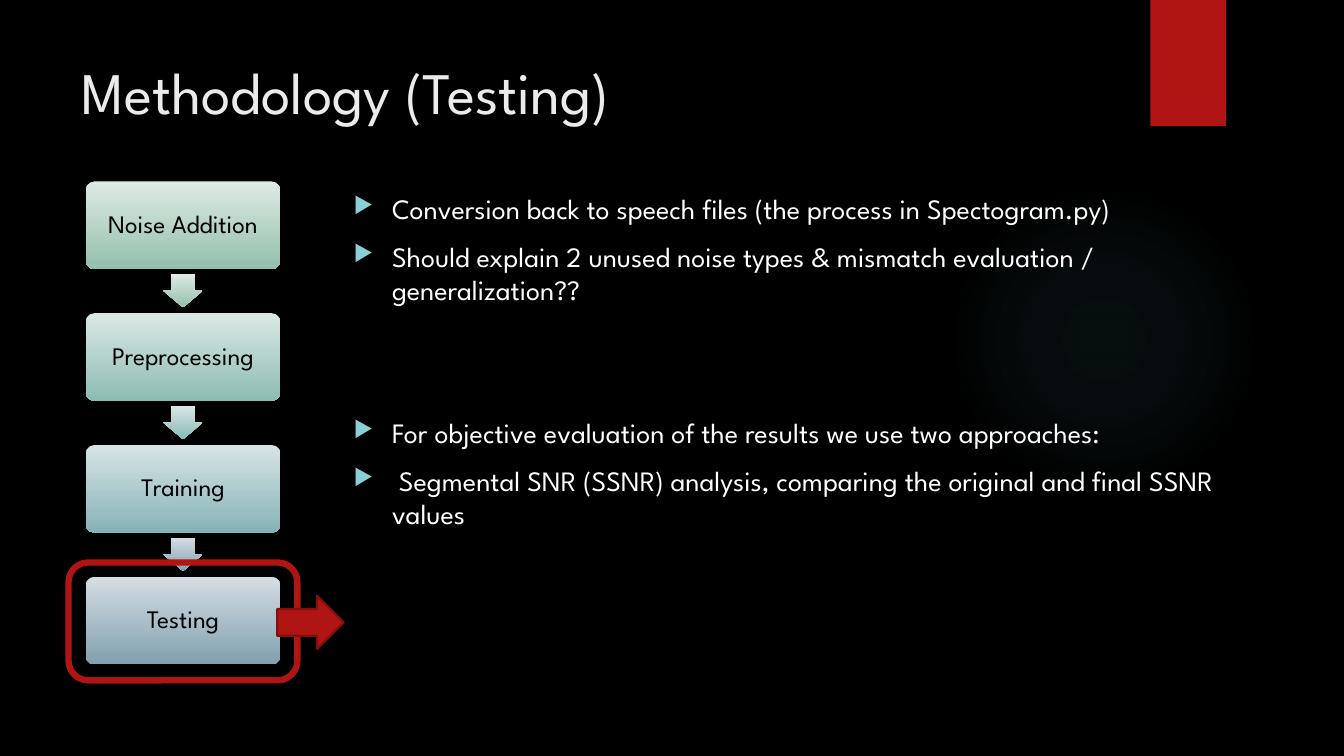
from dataclasses import dataclass

from lxml.etree import fromstring
from pptx import Presentation
from pptx.dml.color import RGBColor
from pptx.enum.shapes import MSO_SHAPE
from pptx.enum.text import MSO_ANCHOR, PP_ALIGN
from pptx.oxml.ns import nsdecls, qn
from pptx.util import Inches, Pt

WIDTH, HEIGHT = Inches(13.33), Inches(7.5)
FONT = "League Spartan"
COLORS = {
    "background": "000000", "title": "EBEBEB", "body": "FFFFFF", "step": "000000",
    "accent": "B01513", "accent edge": "82100E", "bullet": "8AD0D6", "glow": "50B9C1",
}


@dataclass(frozen=True)
class Place:
    """A rectangle in percent of the slide's width and height."""
    left: float
    top: float
    width: float
    height: float

    def lengths(self) -> tuple[int, int, int, int]:
        """Return left, top, width and height as slide lengths."""
        return (int(WIDTH * self.left / 100), int(HEIGHT * self.top / 100),
                int(WIDTH * self.width / 100), int(HEIGHT * self.height / 100))


@dataclass(frozen=True)
class Step:
    """A flow step with its gradient and that of the arrow below it."""
    label: str
    shades: tuple[str, str]
    arrow_shades: tuple[str, str] | None = None


@dataclass(frozen=True)
class Bullet:
    """A bulleted line and the space above it in points."""
    text: str
    space: int = 10


STEP_PLACE = Place(6.38, 24, 14.48, 11.6)
STEP_PITCH = 17.43
ARROW_WIDTH, ARROW_HEIGHT, ARROW_OFFSET = 2.93, 4.4, 12.27
STEPS = [
    Step("Noise Addition", ("DEEAE4", "93C0AC"), ("DEEAE4", "93C0AC")),
    Step("Preprocessing", ("DAE8E5", "8CBCB3"), ("D9E6E5", "88BAB7")),
    Step("Training", ("D7E4E5", "86B3B7"), ("D5DDE2", "81A0B0")),
    Step("Testing", ("D5DDE2", "81A0B0")),
]
BULLETS = [
    Bullet("Conversion back to speech files (the process in Spectogram.py)"),
    Bullet("Should explain 2 unused noise types & mismatch evaluation / generalization??"),
    Bullet("For objective evaluation of the results we use two approaches:", 78),
    Bullet("\u00a0Segmental SNR (SSNR) analysis, comparing the original and final SSNR values"),
]
STEP_FRAME = {
    "word_wrap": True, "vertical_anchor": MSO_ANCHOR.MIDDLE,
    "margin_left": Inches(0.1), "margin_right": Inches(0.1),
    "margin_top": Inches(0.1), "margin_bottom": Inches(0.1),
}


def apply(target, formats: dict) -> None:
    """Set every format value on the target."""
    for name, value in formats.items():
        setattr(target, name, value)


def color(name: str) -> RGBColor:
    """Look up a named colour."""
    return RGBColor.from_string(COLORS[name])


def write(paragraph, text: str, size: int, color_name: str) -> None:
    """Add one styled span to a paragraph."""
    span = paragraph.add_run()
    span.text = text
    apply(span.font, {"name": FONT, "size": Pt(size)})
    span.font.color.rgb = color(color_name)


def add_shape(page, kind: MSO_SHAPE, place: Place, fill: str | None = None,
              edge: str | None = None, edge_width: float = 0,
              shades: tuple[str, str] | None = None, adjust: tuple[float, ...] = ()):
    """Draw a preset shape with a plain, vertical gradient or empty fill."""
    shape = page.shapes.add_shape(kind, *place.lengths())
    shape.shadow.inherit = False
    for index, value in enumerate(adjust):
        shape.adjustments[index] = value
    if shades:
        shape.fill.gradient()
        shape.fill.gradient_angle = 270
        for stop, shade in zip(shape.fill.gradient_stops, shades):
            stop.color.rgb = RGBColor.from_string(shade)
    elif fill:
        shape.fill.solid()
        shape.fill.fore_color.rgb = color(fill)
    else:
        shape.fill.background()
    if edge:
        shape.line.color.rgb = color(edge)
        shape.line.width = Pt(edge_width)
    else:
        shape.line.fill.background()
    return shape


def add_glow(page, place: Place) -> None:
    """Draw a faint circle that fades out from its centre."""
    glow = add_shape(page, MSO_SHAPE.OVAL, place)
    stops = "".join(
        f'<a:gs pos="{position * 1000}"><a:srgbClr val="{COLORS["glow"]}">'
        f'<a:alpha val="{alpha * 1000}"/></a:srgbClr></a:gs>'
        for position, alpha in ((0, 7), (36, 6), (69, 0)))
    gradient = fromstring(
        f'<a:gradFill {nsdecls("a")}><a:gsLst>{stops}</a:gsLst><a:path path="circle">'
        '<a:fillToRect l="50000" t="50000" r="50000" b="50000"/></a:path></a:gradFill>')
    properties = glow.element.spPr
    properties.replace(properties.find(qn("a:noFill")), gradient)


def add_text(page, place: Place):
    """Add a wrapping text box and return its text frame."""
    frame = page.shapes.add_textbox(*place.lengths()).text_frame
    frame.word_wrap = True
    return frame


def add_bullets(page, place: Place, bullets: list[Bullet]) -> None:
    """Write the bulleted lines into one text box."""
    frame = add_text(page, place)
    for index, bullet in enumerate(bullets):
        paragraph = frame.add_paragraph() if index else frame.paragraphs[0]
        paragraph.space_before = Pt(bullet.space)
        write(paragraph, bullet.text, 20, "body")
        properties = paragraph._p.get_or_add_pPr()
        indent = Inches(0.38)
        properties.set("marL", str(indent))
        properties.set("indent", str(-indent))
        for mark in (f'<a:buClr {nsdecls("a")}><a:srgbClr val="{COLORS["bullet"]}"/></a:buClr>',
                     f'<a:buSzPct {nsdecls("a")} val="80000"/>',
                     f'<a:buChar {nsdecls("a")} char="\u25b6"/>'):
            properties.append(fromstring(mark))


def add_step(page, step: Step, row: int) -> None:
    """Draw a flow step and the arrow that leads to the next one."""
    top = STEP_PLACE.top + row * STEP_PITCH
    place = Place(STEP_PLACE.left, top, STEP_PLACE.width, STEP_PLACE.height)
    box = add_shape(page, MSO_SHAPE.ROUNDED_RECTANGLE, place,
                    shades=step.shades, adjust=(0.1,))
    apply(box.text_frame, STEP_FRAME)
    paragraph = box.text_frame.paragraphs[0]
    apply(paragraph, {"alignment": PP_ALIGN.CENTER, "line_spacing": 0.9})
    write(paragraph, step.label, 18, "step")
    if step.arrow_shades:
        left = place.left + (place.width - ARROW_WIDTH) / 2
        add_shape(page, MSO_SHAPE.DOWN_ARROW,
                  Place(left, top + ARROW_OFFSET, ARROW_WIDTH, ARROW_HEIGHT),
                  shades=step.arrow_shades, adjust=(0.6, 0.5))


def main() -> None:
    """Build the slide and save the deck."""
    deck = Presentation()
    apply(deck, {"slide_width": WIDTH, "slide_height": HEIGHT})
    page = deck.slides.add_slide(deck.slide_layouts[6])
    page.background.fill.solid()
    page.background.fill.fore_color.rgb = color("background")

    add_glow(page, Place(70.58, 24.4, 23.1, 41.07))
    add_shape(page, MSO_SHAPE.RECTANGLE, Place(85.6, 0, 5.63, 16.67), "accent")
    title = add_text(page, Place(5.33, 6.67, 77.2, 20.4))
    write(title.paragraphs[0], "Methodology (Testing)", 42, "title")
    add_bullets(page, Place(25.58, 24.67, 68.4, 67.2), BULLETS)
    for row, step in enumerate(STEPS):
        add_step(page, step, row)
    add_shape(page, MSO_SHAPE.ROUNDED_RECTANGLE, Place(5.1, 74.4, 17.03, 15.6),
              edge="accent", edge_width=4.5)
    add_shape(page, MSO_SHAPE.RIGHT_ARROW, Place(20.63, 78.8, 4.95, 7.07),
              "accent", "accent edge", 1.5)
    deck.save("out.pptx")


main()
